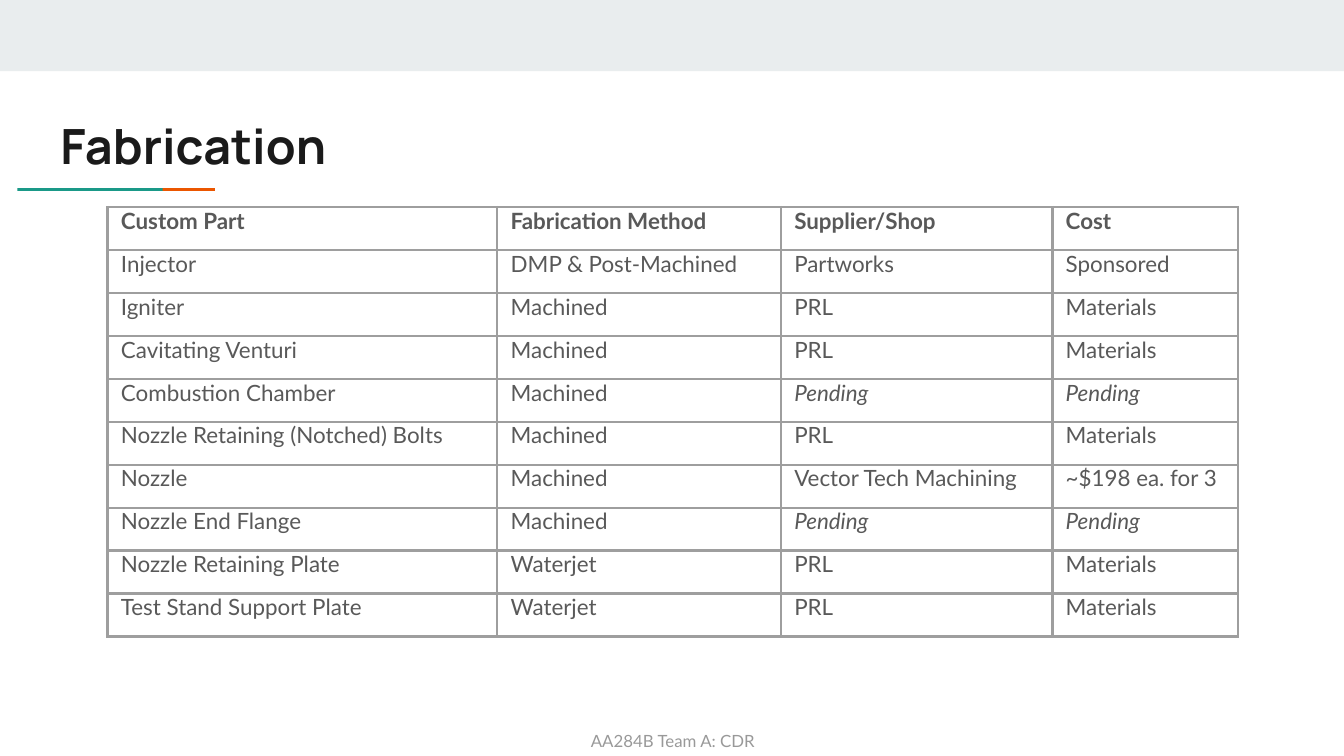
from typing import Any, NamedTuple

from lxml import etree
from pptx import Presentation
from pptx.dml.color import RGBColor
from pptx.enum.shapes import MSO_SHAPE
from pptx.enum.text import MSO_ANCHOR, MSO_AUTO_SIZE, PP_ALIGN
from pptx.oxml.ns import qn
from pptx.util import Inches, Pt

RECTANGLE = MSO_SHAPE.RECTANGLE
TOP = MSO_ANCHOR.TOP
NO_AUTOFIT = MSO_AUTO_SIZE.NONE
LEFT, CENTER = PP_ALIGN.LEFT, PP_ALIGN.CENTER

SLIDE_WIDTH = Inches(10)
SLIDE_HEIGHT = SLIDE_WIDTH * 9 // 16
BORDER_COLOR = "9E9E9E"
BORDER_WIDTH = Pt(1.5)
ROW_HEIGHT = 0.32
COLUMN_WIDTHS = (2.9, 2.11, 2.02, 1.38)
PENDING = "Pending"


class Bar(NamedTuple):
    left: float
    top: float
    width: float
    height: float
    color: str


class Part(NamedTuple):
    name: str
    method: str = "Machined"
    supplier: str = "PRL"
    cost: str = "Materials"


BARS = (
    Bar(0, 0, 10, 0.53, "E9EDEE"),
    Bar(0.54, 1.4, 1.06, 0.02, "EB5600"),
    Bar(0.13, 1.4, 1.08, 0.02, "1A9988"),
)

PARTS = (
    Part("Custom Part", "Fabrication Method", "Supplier/Shop", "Cost"),
    Part("Injector", "DMP & Post-Machined", "Partworks", "Sponsored"),
    Part("Igniter"),
    Part("Cavitating Venturi"),
    Part("Combustion Chamber", supplier=PENDING, cost=PENDING),
    Part("Nozzle Retaining (Notched) Bolts"),
    Part("Nozzle", supplier="Vector Tech Machining", cost="~$198 ea. for 3"),
    Part("Nozzle End Flange", supplier=PENDING, cost=PENDING),
    Part("Nozzle Retaining Plate", "Waterjet"),
    Part("Test Stand Support Plate", "Waterjet"),
)

TITLE_FONT = {"name": "Manrope", "size": Pt(26), "bold": True}
FOOTER_FONT = {"name": "Lato", "size": Pt(9)}
CELL_FONT = {"name": "Lato", "size": Pt(12)}


def rgb(color: str) -> RGBColor:
    return RGBColor.from_string(color)


def set_attributes(target: Any, values: dict[str, Any]) -> None:
    for name, value in values.items():
        setattr(target, name, value)


def set_insets(target: Any, horizontal: float, vertical: float) -> None:
    set_attributes(target, {
        "margin_left": Inches(horizontal),
        "margin_right": Inches(horizontal),
        "margin_top": Inches(vertical),
        "margin_bottom": Inches(vertical),
    })


def write_text(frame: Any, text: str, font: dict[str, Any], color: str, align: Any = LEFT) -> None:
    paragraph = frame.paragraphs[0]
    paragraph.alignment = align
    span = paragraph.add_run()
    span.text = text
    set_attributes(span.font, font)
    span.font.color.rgb = rgb(color)


def format_frame(frame: Any) -> None:
    set_attributes(frame, {
        "word_wrap": True,
        "auto_size": NO_AUTOFIT,
        "vertical_anchor": TOP,
    })
    set_insets(frame, 0.1, 0.1)


def draw_bar(page: Any, bar: Bar) -> None:
    shape = page.shapes.add_shape(
        RECTANGLE, Inches(bar.left), Inches(bar.top), Inches(bar.width), Inches(bar.height)
    )
    shape.shadow.inherit = False
    shape.fill.solid()
    shape.fill.fore_color.rgb = rgb(bar.color)
    shape.line.fill.background()


def draw_title(page: Any) -> None:
    title = page.shapes.title
    set_attributes(title, {
        "left": Inches(0.35),
        "top": Inches(0.76),
        "width": Inches(8.41),
        "height": Inches(0.59),
    })
    format_frame(title.text_frame)
    write_text(title.text_frame, "Fabrication", TITLE_FONT, "1A1A1A")


def draw_footer(page: Any) -> None:
    box = page.shapes.add_textbox(Inches(3.31), Inches(5.34), Inches(3.39), Inches(0.23))
    format_frame(box.text_frame)
    write_text(box.text_frame, "AA284B Team A: CDR", FOOTER_FONT, "999999", CENTER)


def add_borders(cell: Any) -> None:
    properties = cell._tc.get_or_add_tcPr()
    for side in ("lnL", "lnR", "lnT", "lnB"):
        line = etree.SubElement(properties, qn(f"a:{side}"), w=str(BORDER_WIDTH))
        fill = etree.SubElement(line, qn("a:solidFill"))
        etree.SubElement(fill, qn("a:srgbClr"), val=BORDER_COLOR)


def draw_table(page: Any) -> None:
    table = page.shapes.add_table(
        len(PARTS), len(COLUMN_WIDTHS), Inches(0.8), Inches(1.54),
        Inches(sum(COLUMN_WIDTHS)), Inches(ROW_HEIGHT * len(PARTS)),
    ).table
    set_attributes(table, {"first_row": False, "horz_banding": False})
    for column, width in zip(table.columns, COLUMN_WIDTHS):
        column.width = Inches(width)
    for row_index, (row, part) in enumerate(zip(table.rows, PARTS)):
        row.height = Inches(ROW_HEIGHT)
        for cell, text in zip(row.cells, part):
            set_insets(cell, 0.1, 0)
            cell.vertical_anchor = TOP
            add_borders(cell)
            cell.fill.background()
            font = CELL_FONT | {"bold": row_index == 0, "italic": text == PENDING}
            write_text(cell.text_frame, text, font, "595959")


def main() -> None:
    deck = Presentation()
    set_attributes(deck, {"slide_width": SLIDE_WIDTH, "slide_height": SLIDE_HEIGHT})
    page = deck.slides.add_slide(deck.slide_layouts[5])
    draw_footer(page)
    for bar in BARS:
        draw_bar(page, bar)
    draw_title(page)
    draw_table(page)
    deck.save("out.pptx")


if __name__ == "__main__":
    main()
